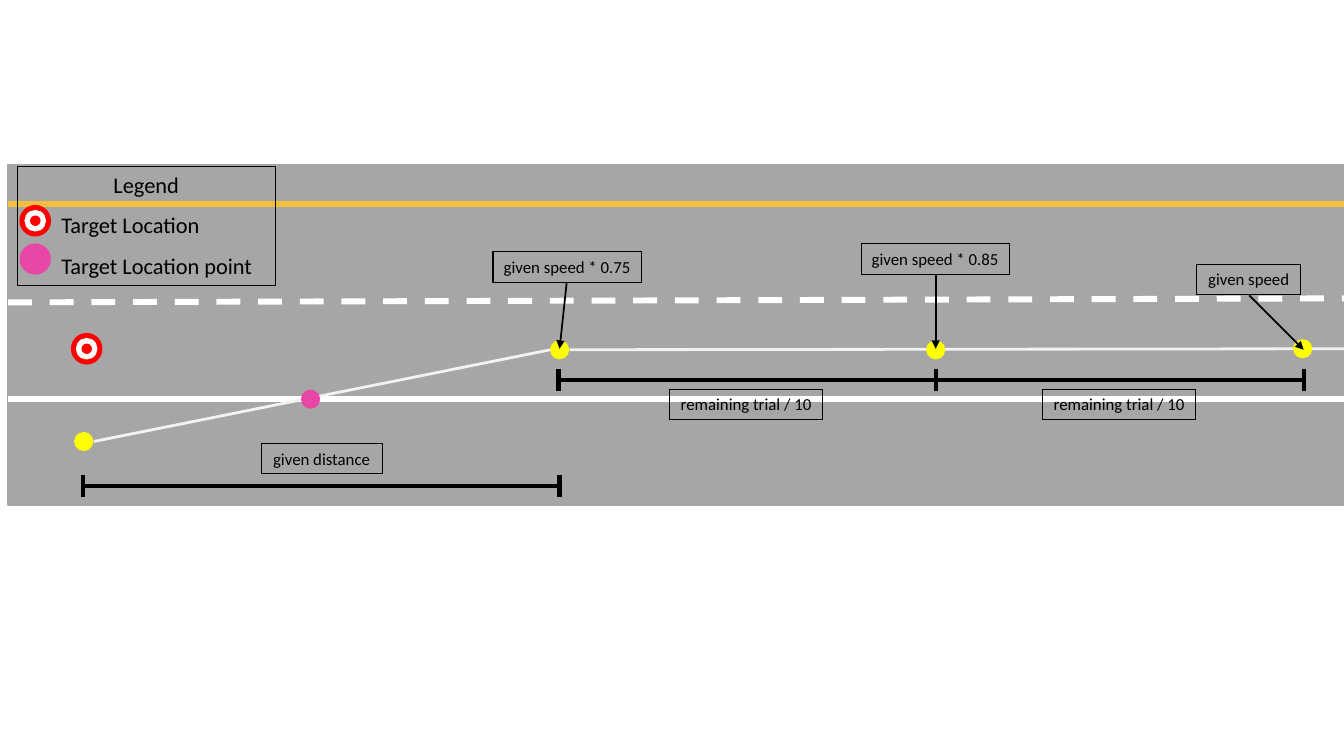
import pptx
import pptx.util
import pptx.dml.color
import pptx.enum.dml
import pptx.enum.shapes
import pptx.enum.text
import pptx.oxml
import pptx.oxml.ns
from pptx.util import Inches

RGBColor = pptx.dml.color.RGBColor
ROAD_GREY = RGBColor(0xA6, 0xA6, 0xA6)
LANE_ORANGE = RGBColor(0xF3, 0xBF, 0x3D)
WHITE = RGBColor(0xFF, 0xFF, 0xFF)
PATH_WHITE = RGBColor(0xF2, 0xF2, 0xF2)
RED = RGBColor(0xFF, 0x00, 0x00)
YELLOW = RGBColor(0xFF, 0xFF, 0x00)
PINK = RGBColor(0xE9, 0x47, 0xA7)
BLACK = RGBColor(0x00, 0x00, 0x00)

SHAPE = pptx.enum.shapes.MSO_SHAPE
ALIGN = pptx.enum.text.PP_ALIGN
FONT = "Calibri"
POINT_SIZE = 0.19


def add_filled(shapes, kind, left, top, width, height, color, outlined=False):
    shape = shapes.add_shape(
        kind, Inches(left), Inches(top), Inches(width), Inches(height))
    shape.shadow.inherit = False
    shape.fill.solid()
    shape.fill.fore_color.rgb = color
    if outlined:
        shape.line.color.rgb = color
        shape.line.width = pptx.util.Pt(1)
    else:
        shape.line.fill.background()


def add_dot(shapes, center_x, center_y, size, color, outlined=False):
    add_filled(shapes, SHAPE.OVAL, center_x - size / 2, center_y - size / 2,
               size, size, color, outlined)


def add_target(page, center_x, center_y):
    rings = page.shapes.add_group_shape().shapes
    for size, color in ((0.3, RED), (0.2, WHITE), (0.09, RED)):
        add_dot(rings, center_x, center_y, size, color, outlined=True)


def add_line(shapes, start, end, color, width):
    line = shapes.add_connector(
        pptx.enum.shapes.MSO_CONNECTOR.STRAIGHT,
        Inches(start[0]), Inches(start[1]), Inches(end[0]), Inches(end[1]))
    line.line.color.rgb = color
    line.line.width = pptx.util.Pt(width)
    properties = line._element.spPr
    properties.append(pptx.oxml.parse_xml(
        "<a:effectLst %s/>" % pptx.oxml.ns.nsdecls("a")))
    return line


def add_arrow(page, start, end):
    arrow = add_line(page.shapes, start, end, BLACK, 1.25)
    arrow.line._get_or_add_ln().append(pptx.oxml.parse_xml(
        '<a:tailEnd type="triangle" %s/>' % pptx.oxml.ns.nsdecls("a")))


def add_span(page, left, right, y, capped_left=True):
    """Draw a horizontal measure with upright end caps."""
    parts = page.shapes.add_group_shape().shapes
    add_line(parts, (left, y), (right, y), BLACK, 3)
    for x in (left, right) if capped_left else (right,):
        add_line(parts, (x, y - 0.11), (x, y + 0.11), BLACK, 3)


def add_framed_text(page, left, top, width, height, text, size, wrap):
    box = page.shapes.add_textbox(
        Inches(left), Inches(top), Inches(width), Inches(height))
    box.line.color.rgb = BLACK
    box.line.width = pptx.util.Pt(0.75)
    frame = box.text_frame
    frame.text = text
    frame.word_wrap = wrap
    frame.auto_size = pptx.enum.text.MSO_AUTO_SIZE.SHAPE_TO_FIT_TEXT
    for para in frame.paragraphs:
        para.alignment = ALIGN.CENTER
        para.font.size = pptx.util.Pt(size)
        for span in para.runs:
            span.font.name = FONT
            span.font.size = pptx.util.Pt(size)
            span.font.color.rgb = BLACK
    return box


def add_label(page, left, top, width, text):
    add_framed_text(page, left, top, width, 0.3, text, 12, wrap=False)


def add_legend(page):
    box = add_framed_text(
        page, 0.17, 1.65, 2.56, 1.18,
        "Legend\nTarget Location\nTarget Location point", 16, wrap=True)
    for para in box.text_frame.paragraphs[1:]:
        para.alignment = ALIGN.LEFT
        para.line_spacing = 1.5
        para._p.get_or_add_pPr().set("marL", str(Inches(0.34)))
    add_target(page, 0.35, 2.19)
    add_dot(page.shapes, 0.35, 2.57, 0.31, PINK)


def add_road(page):
    add_filled(page.shapes, SHAPE.RECTANGLE, 0.08, 1.63, 13.25, 3.38,
               ROAD_GREY, outlined=True)
    for y, color in ((2.02, LANE_ORANGE), (3.96, WHITE)):
        add_line(page.shapes, (0.08, y), (13.33, y), color, 4.25)
    divider = add_line(page.shapes, (0.08, 3), (13.36, 2.96), WHITE, 4.25)
    divider.line.dash_style = pptx.enum.dml.MSO_LINE.DASH


def add_trajectory(page):
    add_line(page.shapes, (0.93, 4.38), (5.46, 3.47), PATH_WHITE, 2)
    add_line(page.shapes, (5.65, 3.47), (13.33, 3.46), PATH_WHITE, 2)
    for x, y, color in ((0.83, 4.38, YELLOW), (3.08, 3.96, PINK),
                        (5.55, 3.47, YELLOW), (9.28, 3.47, YELLOW),
                        (12.92, 3.46, YELLOW)):
        add_dot(page.shapes, x, y, POINT_SIZE, color)


def main():
    deck = pptx.Presentation()
    deck.slide_width = Inches(13.33)
    deck.slide_height = Inches(7.5)
    page = deck.slides.add_slide(deck.slide_layouts[6])

    add_road(page)
    add_target(page, 0.86, 3.46)
    add_trajectory(page)
    add_legend(page)

    for start, end in (((5.62, 2.81), (5.55, 3.46)),
                       ((9.28, 2.72), (9.28, 3.46)),
                       ((12.39, 2.93), (12.93, 3.47))):
        add_arrow(page, start, end)

    add_span(page, 0.82, 5.55, 4.82)
    add_span(page, 5.54, 9.28, 3.77)
    add_span(page, 9.28, 12.93, 3.77, capped_left=False)

    for left, top, width, text in (
            (4.89, 2.5, 1.47, "given speed * 0.75"),
            (8.54, 2.42, 1.47, "given speed * 0.85"),
            (11.87, 2.62, 1.03, "given speed"),
            (2.59, 4.4, 1.2, "given distance"),
            (6.64, 3.86, 1.52, "remaining trial / 10"),
            (10.34, 3.86, 1.52, "remaining trial / 10")):
        add_label(page, left, top, width, text)

    deck.save("out.pptx")


if __name__ == "__main__":
    main()
